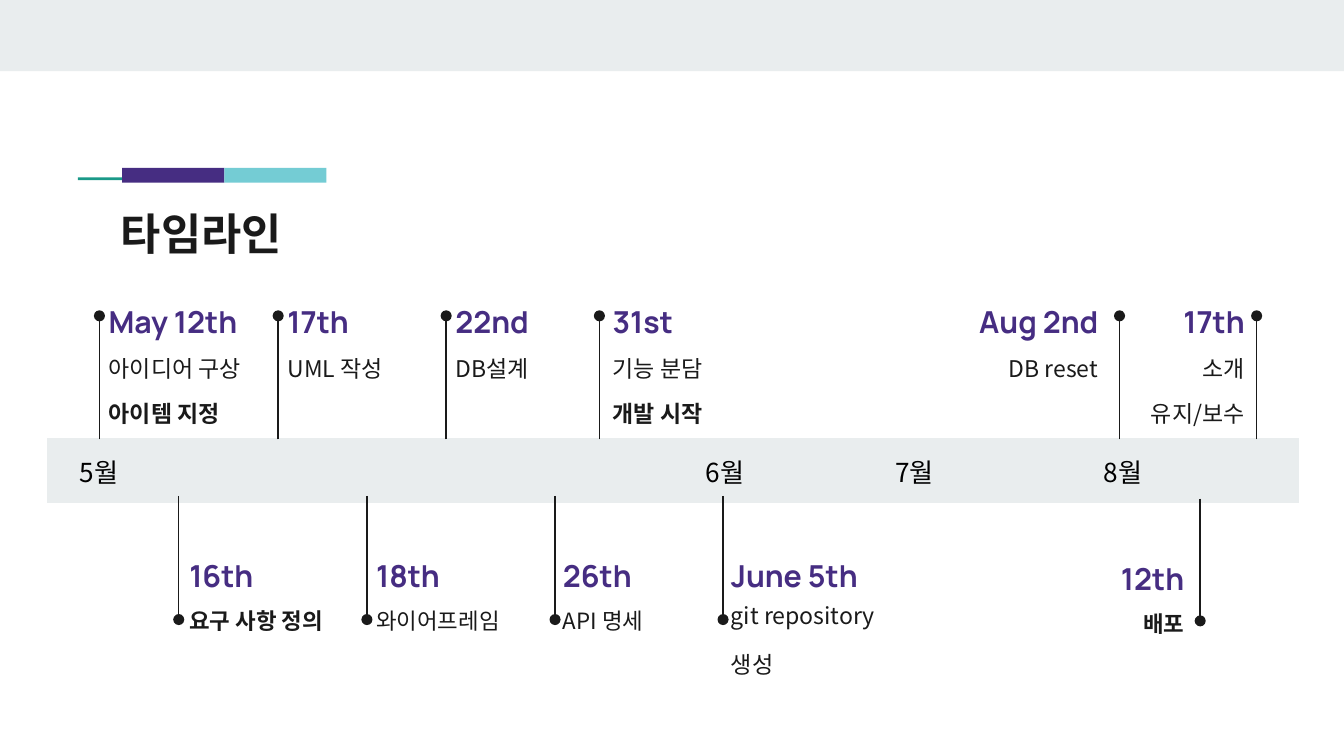
from dataclasses import dataclass, replace

from lxml import etree
from pptx import Presentation
from pptx.dml.color import RGBColor
from pptx.enum import shapes as kinds, text as modes
from pptx.oxml import ns
from pptx.util import Inches, Pt

INK = RGBColor(0x1A, 0x1A, 0x1A)
BLACK = RGBColor(0, 0, 0)
PURPLE = RGBColor(0x46, 0x2D, 0x82)
AQUA = RGBColor(0x74, 0xCC, 0xD4)
TEAL = RGBColor(0x1A, 0x99, 0x88)
GREY = RGBColor(0xE9, 0xED, 0xEE)
LATIN, KOREAN = "Manrope", "Noto Sans CJK KR"
LEFT, RIGHT = modes.PP_ALIGN.LEFT, modes.PP_ALIGN.RIGHT
TOP, MIDDLE = modes.MSO_ANCHOR.TOP, modes.MSO_ANCHOR.MIDDLE


@dataclass(frozen=True)
class Row:
    """Heights and text style shared by the events on one side of the bar."""
    base: float
    tip: float
    head: float
    body: float
    tall: float
    size: float
    lead: float


@dataclass(frozen=True)
class Event:
    stem: float
    left: float
    day: str
    lines: tuple[str, ...]
    row: Row
    bold: str = ""
    align: modes.PP_ALIGN = LEFT


UP = Row(3.27, 2.35, 2.18, 2.58, 0.43, 12.3, 0.8)
DOWN = Row(3.69, 4.61, 4.07, 4.39, 0.63, 12, 1.15)
TIGHT = replace(DOWN, size=12.4, lead=0.95)
LOW = replace(DOWN, base=3.71, tip=4.62, head=4.09, body=4.41)

EVENTS = [
    Event(0.74, 0.71, "May 12th", ("아이디어 구상", "아이템 지정"), UP, "아이템 지정"),
    Event(2.07, 2.04, "17th", ("UML 작성",), UP),
    Event(3.32, 3.29, "22nd", ("DB설계",), UP),
    Event(4.46, 4.46, "31st", ("기능 분담", "개발 시작"), UP, "개발 시작"),
    Event(8.33, 6.29, "Aug 2nd", ("DB reset",), UP, align=RIGHT),
    Event(9.35, 7.38, "17th", ("소개", "유지/보수"), UP, align=RIGHT),
    Event(1.33, 1.31, "16th", ("요구 사항 정의",), DOWN, "요구 사항 정의"),
    Event(2.73, 2.7, "18th", ("와이어프레임",), DOWN),
    Event(4.13, 4.09, "26th", ("API 명세",), DOWN),
    Event(5.38, 5.34, "June 5th", ("git repository", "생성"), TIGHT),
    Event(8.93, 6.93, "12th", ("배포",), LOW, "배포", RIGHT),
]
MONTHS = {0: "5월", 6: "6월", 8: "7월", 10: "8월"}


def style(para, size: float, color: RGBColor, face: str = KOREAN,
          bold: bool = False) -> None:
    font = para.font
    font.size, font.bold, font.name = Pt(size), bold, face
    font.color.rgb = color
    props = para._p.pPr.find(ns.qn("a:defRPr"))
    etree.SubElement(props, ns.qn("a:ea")).set("typeface", face)


def frame(shape, anchor: modes.MSO_ANCHOR):
    """Ready a shape's text frame with equal insets."""
    text = shape.text_frame
    text.word_wrap, text.vertical_anchor = True, anchor
    text.auto_size = modes.MSO_AUTO_SIZE.NONE
    text.margin_left = text.margin_right = Inches(0.1)
    text.margin_top = text.margin_bottom = Inches(0.1)
    return text


def block(slide, x: float, y: float, w: float, h: float,
          color: RGBColor) -> None:
    shape = slide.shapes.add_shape(
        kinds.MSO_SHAPE.RECTANGLE, Inches(x), Inches(y), Inches(w), Inches(h))
    shape.shadow.inherit = False
    shape.fill.solid()
    shape.fill.fore_color.rgb = color
    shape.line.fill.background()


def label(slide, x: float, y: float, h: float, anchor: modes.MSO_ANCHOR):
    box = slide.shapes.add_textbox(
        Inches(x), Inches(y), Inches(1.98), Inches(h))
    return frame(box, anchor)


def pin(slide, x: float, row: Row) -> None:
    """Draw a stem from the bar that ends in a dot."""
    line = slide.shapes.add_connector(
        kinds.MSO_CONNECTOR.STRAIGHT,
        Inches(x), Inches(row.base), Inches(x), Inches(row.tip))
    line.line.color.rgb, line.line.width = INK, Pt(0.75)
    etree.SubElement(line.line._get_or_add_ln(),
                     ns.qn("a:tailEnd")).set("type", "oval")
    etree.SubElement(line._element.spPr, ns.qn("a:effectLst"))


def draw_event(slide, event: Event) -> None:
    row = event.row
    pin(slide, event.stem, row)
    para = label(slide, event.left, row.head, 0.43, MIDDLE).paragraphs[0]
    para.text, para.alignment = event.day, event.align
    style(para, 16.2, PURPLE, LATIN, True)
    text = label(slide, event.left, row.body, row.tall, TOP)
    text.text = "\n".join(event.lines)
    for i, para in enumerate(text.paragraphs):
        para.alignment, para.line_spacing = event.align, row.lead
        if i:
            para.space_before = Pt(12)
        style(para, row.size, INK, bold=para.text == event.bold)


def draw_months(slide) -> None:
    table = slide.shapes.add_table(
        1, 12, Inches(0.35), Inches(3.26), Inches(9.32), Inches(0.48)).table
    table.first_row = table.horz_banding = False
    # Built-in style without grid lines
    table._tbl.tblPr[0].text = "{2D5ABB26-0587-4C30-8999-92F81FD0307C}"
    for i, cell in enumerate(table.rows[0].cells):
        cell.fill.solid()
        cell.fill.fore_color.rgb = GREY
        cell.margin_left = cell.margin_right = Inches(0.1)
        cell.margin_top = cell.margin_bottom = Inches(0.1)
        para = cell.text_frame.paragraphs[0]
        if i in MONTHS:
            para.text = MONTHS[i]
        para.alignment = modes.PP_ALIGN.CENTER if i < 8 else LEFT
        style(para, 14, BLACK)


def main() -> None:
    deck = Presentation()
    deck.slide_width = Inches(10)
    deck.slide_height = deck.slide_width * 9 // 16
    slide = deck.slides.add_slide(deck.slide_layouts[5])
    block(slide, 0, 0, 10, 0.53, GREY)
    block(slide, 0.58, 1.32, 0.5, 0.02, TEAL)
    block(slide, 0.91, 1.25, 0.76, 0.11, PURPLE)
    block(slide, 1.67, 1.25, 0.76, 0.11, AQUA)

    title = slide.shapes.title
    title.left, title.top = Inches(0.8), Inches(1.44)
    title.width, title.height = Inches(8.41), Inches(0.59)
    para = frame(title, TOP).paragraphs[0]
    para.text, para.alignment = "타임라인", LEFT
    style(para, 23.4, INK, bold=True)

    draw_months(slide)
    for event in EVENTS:
        draw_event(slide, event)
    deck.save("out.pptx")


if __name__ == "__main__":
    main()
